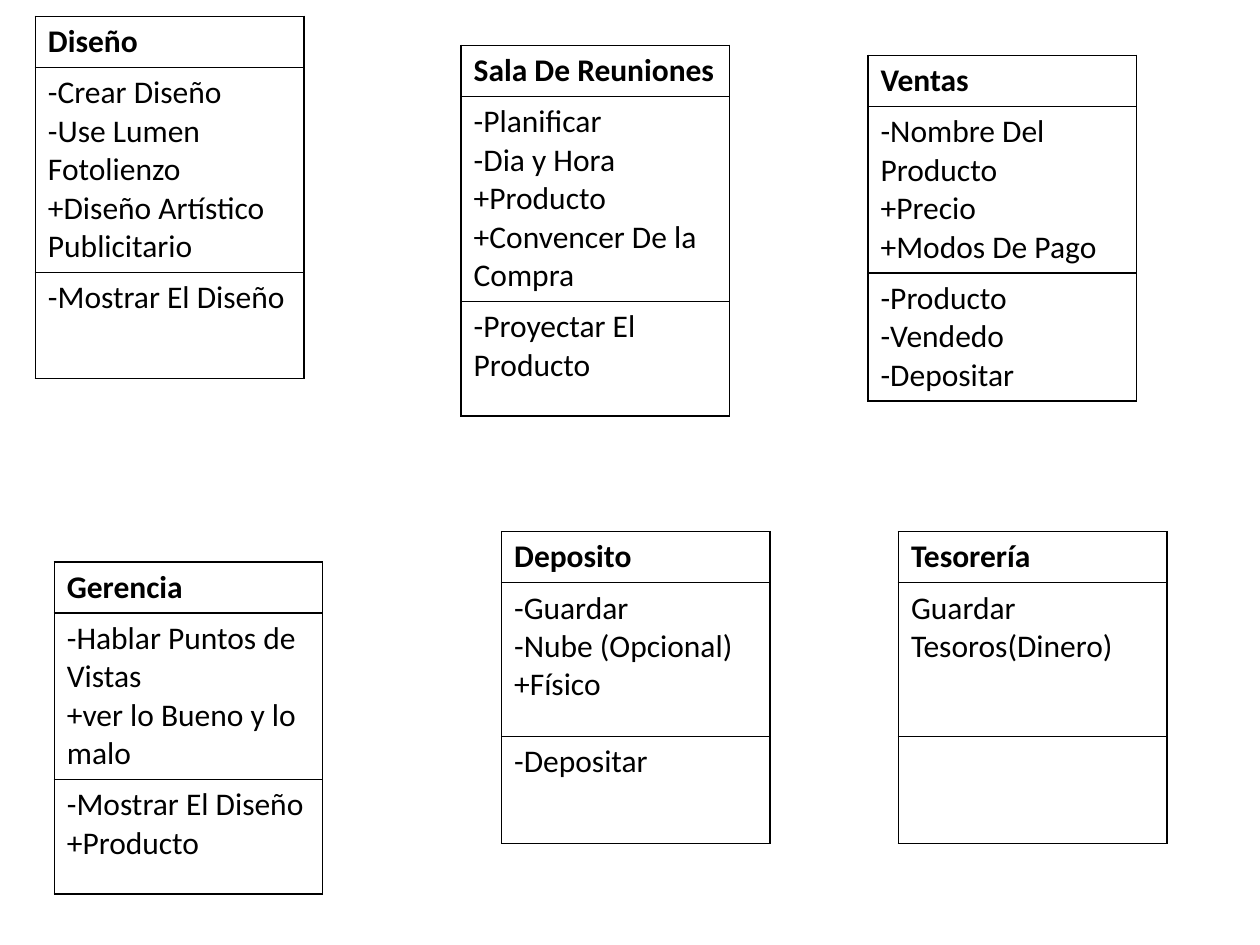
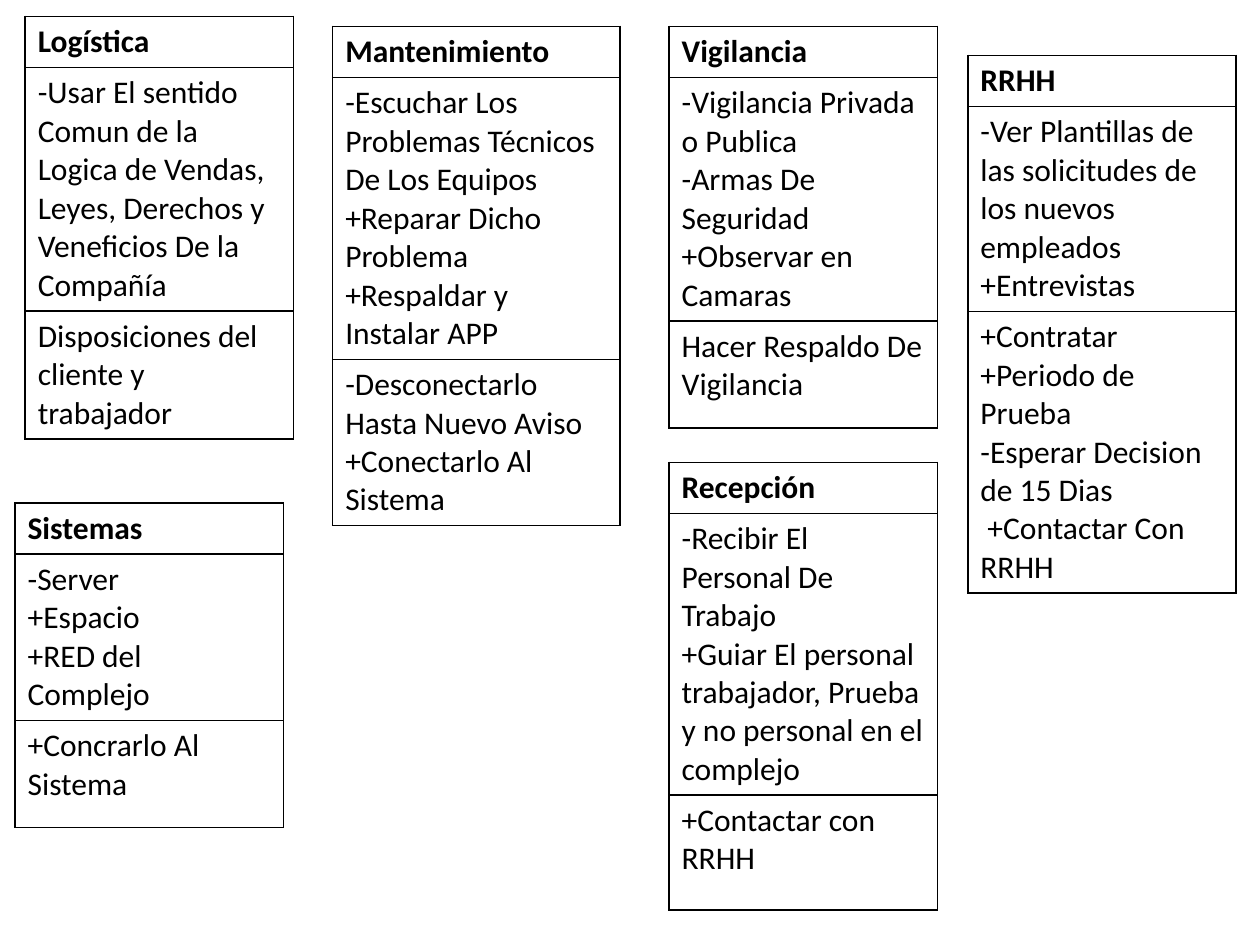
from lxml.etree import SubElement as Sub
from pptx import Presentation as Deck
from pptx.dml.color import RGBColor as Rgb
from pptx.oxml.ns import qn
from pptx.util import Pt

BLACK, WHITE = "000000", "FFFFFF"
FONT, SIZE, HEAD, WIDE = "Calibri", 18, 29.2, 153.4


def tint(fill, code):
    fill.solid()
    fill.fore_color.rgb = Rgb.from_string(code)


def edge(cell):
    props = cell._tc.get_or_add_tcPr()
    for side in ("lnL", "lnR", "lnT", "lnB"):
        line = Sub(props, qn("a:" + side), w=str(Pt(1)))
        Sub(Sub(line, qn("a:solidFill")), qn("a:srgbClr"), val=BLACK)


# left, top, width, body height, foot height, title, body, foot
pages = [
    [
        (496, 31.7, WIDE, 95.1, 73.1, "Ventas",
         ["-Nombre Del Producto", "+Precio", "+Modos De Pago"],
         ["-Producto", "-Vendedo", "-Depositar"]),
        (286.6, 303.8, WIDE, 87.8, 61.2, "Deposito",
         ["-Guardar", "-Nube (Opcional)", "+Físico"],
         ["-Depositar"]),
        (20.2, 9.4, WIDE, 117, 60.5, "Diseño",
         ["-Crear Diseño", "-Use Lumen Fotolienzo", "+Diseño Artístico Publicitario"],
         ["-Mostrar El Diseño"]),
        (31, 321.1, WIDE, 95.1, 65.5, "Gerencia",
         ["-Hablar Puntos de Vistas", "+ver lo Bueno y lo malo"],
         ["-Mostrar El Diseño", "+Producto"]),
        (263.5, 25.9, WIDE, 117, 65.5, "Sala De Reuniones",
         ["-Planificar", "-Dia y Hora", "+Producto", "+Convencer De la Compra"],
         ["-Proyectar El Producto"]),
        (513.4, 303.8, WIDE, 87.8, 61.2, "Tesorería",
         ["Guardar Tesoros(Dinero)"],
         []),
    ],
    [
        (553, 31.7, WIDE, 117, 161, "RRHH",
         ["-Ver Plantillas de las solicitudes de los nuevos empleados", "+Entrevistas"],
         ["+Contratar", "+Periodo de Prueba\n-Esperar Decision de 15 Dias",
          " +Contactar Con RRHH"]),
        (8.6, 287.3, WIDE, 95.1, 61.2, "Sistemas",
         ["-Server", "+Espacio", "+RED del Complejo"],
         ["+Concrarlo Al Sistema"]),
        (14.4, 9.4, WIDE, 139, 73.1, "Logística",
         ["-Usar El sentido Comun de la Logica de Vendas, Leyes, Derechos y "
          "Veneficios De la Compañía"],
         ["Disposiciones del cliente y trabajador"]),
        (190.1, 15.1, 164.2, 161, 95.1, "Mantenimiento",
         ["-Escuchar Los Problemas Técnicos De Los Equipos",
          "+Reparar Dicho Problema", "+Respaldar y Instalar APP"],
         ["-Desconectarlo Hasta Nuevo Aviso", "+Conectarlo Al Sistema"]),
        (382.3, 264.2, WIDE, 161, 65.5, "Recepción",
         ["-Recibir El Personal De Trabajo",
          "+Guiar El personal trabajador, Prueba y no personal en el complejo"],
         ["+Contactar con RRHH"]),
        (382.3, 15.1, WIDE, 139, 61.2, "Vigilancia",
         ["-Vigilancia Privada o Publica", "-Armas De Seguridad", "+Observar en Camaras"],
         ["Hacer Respaldo De Vigilancia"]),
    ],
]

deck = Deck()
deck.slide_width, deck.slide_height = Pt(720), Pt(540)

for page in pages:
    slide = deck.slides.add_slide(deck.slide_layouts[6])
    tint(slide.background.fill, WHITE)
    for left, top, width, body, foot, title, traits, acts in page:
        highs = (HEAD, body, foot)
        frame = slide.shapes.add_table(3, 1, Pt(left), Pt(top), Pt(width), Pt(sum(highs)))
        table = frame.table
        table.first_row = table.horz_banding = False
        for row, (high, texts) in enumerate(zip(highs, ([title], traits, acts))):
            table.rows[row].height = Pt(high)
            cell = table.cell(row, 0)
            edge(cell)
            tint(cell.fill, WHITE)
            for spot, text in enumerate(texts):
                para = cell.text_frame.add_paragraph() if spot else cell.text_frame.paragraphs[0]
                for part, words in enumerate(text.split("\n")):
                    if part:
                        para.add_line_break()
                    run = para.add_run()
                    run.text = words
                    font = run.font
                    font.name, font.size, font.bold = FONT, Pt(SIZE), row == 0
                    tint(font.fill, BLACK)

deck.save("out.pptx")
